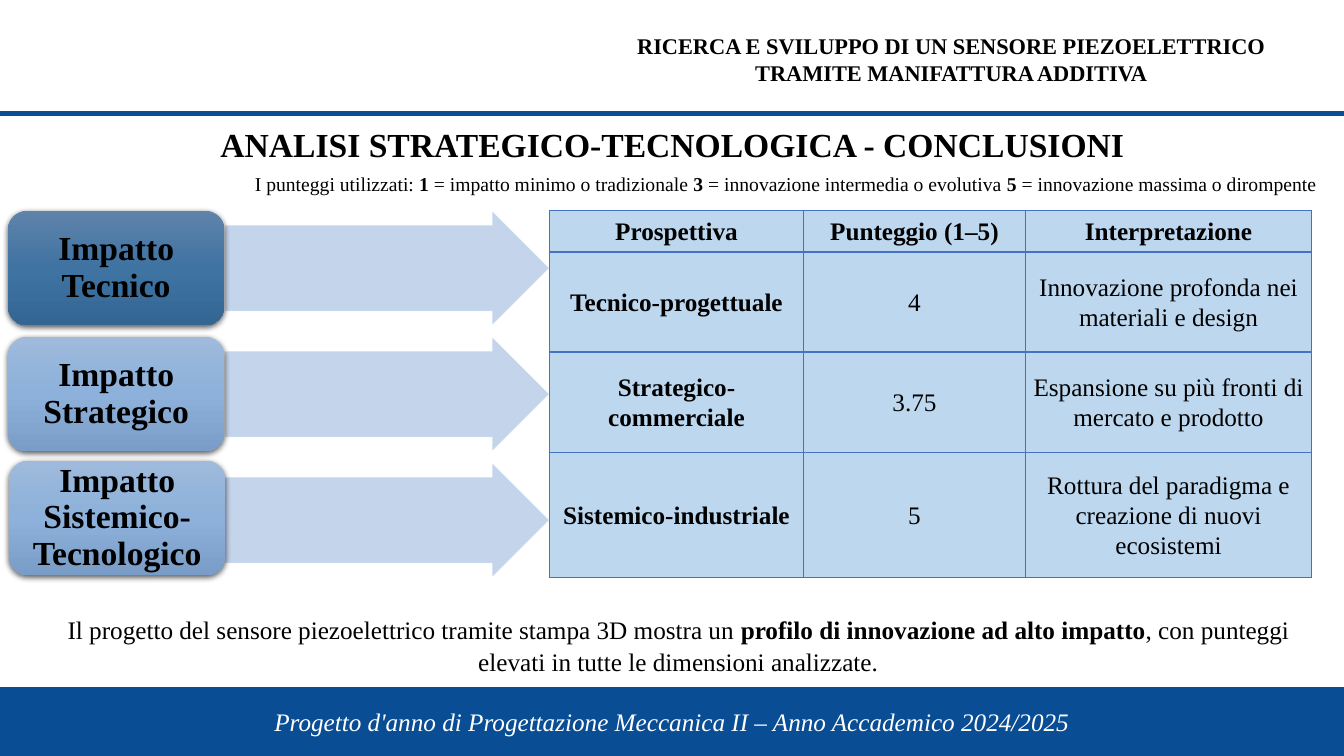
from copy import deepcopy

from lxml import etree
from pptx import Presentation
from pptx import util as u
from pptx.dml.color import RGBColor
from pptx.enum import shapes, text
from pptx.oxml import ns, parse_xml

FONT = "Times New Roman"
BLUE, BLACK, WHITE = "094D94", "000000", "FFFFFF"
ARROW, CELL, BORDER = "BDD0E9", "BDD7EE", "4472C4"
DARK = ("5F83AA", "3F73A2", "346694")
LIGHT = ("9EBADC", "8DB1DA", "799DC6")
NAMESPACE = ns.nsdecls("a")


def color(value):
    return RGBColor.from_string(value)


def write(frame, parts, size=18, bold=False, italic=False, fill=BLACK,
          align=text.PP_ALIGN.CENTER, spacing=None, after=None):
    frame.word_wrap = True
    paragraph = frame.paragraphs[0]
    paragraph.alignment = align
    if spacing is not None:
        paragraph.line_spacing = spacing
    if after is not None:
        paragraph.space_after = u.Pt(after)
    if isinstance(parts, str):
        parts = [(parts, bold)]
    for content, strong in parts:
        run = paragraph.add_run()
        run.text = content
        run.font.name = FONT
        run.font.size = u.Pt(size)
        run.font.bold = strong
        run.font.italic = italic
        run.font.color.rgb = color(fill)


class Canvas:
    def __init__(self, slide):
        self.slide = slide

    def line(self, x1, y1, x2, y2, stroke, width):
        connector = self.slide.shapes.add_connector(
            shapes.MSO_CONNECTOR.STRAIGHT, *map(u.Pt, (x1, y1, x2, y2)))
        connector.line.color.rgb = color(stroke)
        connector.line.width = u.Pt(width)
        etree.SubElement(connector._element.spPr, ns.qn("a:effectLst"))

    def label(self, box, parts, **style):
        shape = self.slide.shapes.add_textbox(*map(u.Pt, box))
        write(shape.text_frame, parts, **style)

    def shape(self, kind, box, fill=None, stroke=None, width=1):
        shape = self.slide.shapes.add_shape(kind, *map(u.Pt, box))
        shape.shadow.inherit = False
        if fill:
            shape.fill.solid()
            shape.fill.fore_color.rgb = color(fill)
        if stroke:
            shape.line.color.rgb = color(stroke)
            shape.line.width = u.Pt(width)
        else:
            shape.line.fill.background()
        return shape

    def band(self, box, content):
        shape = self.shape(shapes.MSO_SHAPE.RECTANGLE, box, BLUE, BLUE)
        shape.text_frame.vertical_anchor = text.MSO_ANCHOR.MIDDLE
        write(shape.text_frame, content, italic=True, fill=WHITE)

    def arrow(self, box):
        shape = self.shape(shapes.MSO_SHAPE.RIGHT_ARROW, box, ARROW, WHITE, 0.5)
        shape.adjustments[0] = 0.75
        shape.adjustments[1] = 0.5
        rgb = shape._element.spPr.find(f"{ns.qn('a:solidFill')}/{ns.qn('a:srgbClr')}")
        etree.SubElement(rgb, ns.qn("a:alpha"), val="90000")

    def impact(self, box, content, shades):
        shape = self.shape(shapes.MSO_SHAPE.ROUNDED_RECTANGLE, box)
        shape.fill.gradient()
        shape.fill.gradient_angle = 270
        properties = shape._element.spPr
        stop_list = properties.find(f"{ns.qn('a:gradFill')}/{ns.qn('a:gsLst')}")
        stop_list.append(deepcopy(stop_list[-1]))
        for index, stop in enumerate(shape.fill.gradient_stops):
            stop.position = index / 2
            stop.color.rgb = color(shades[index])
        properties.find(ns.qn("a:effectLst")).append(parse_xml(
            f'<a:outerShdw {NAMESPACE} blurRad="{u.Pt(4.5)}" dist="{u.Pt(1.5)}" '
            f'dir="5400000" rotWithShape="0"><a:srgbClr val="{BLACK}">'
            '<a:alpha val="63000"/></a:srgbClr></a:outerShdw>'))
        frame = shape.text_frame
        frame.vertical_anchor = text.MSO_ANCHOR.MIDDLE
        frame.margin_left = frame.margin_right = u.Pt(4)
        frame.margin_top = frame.margin_bottom = u.Pt(0)
        write(frame, content, size=24, bold=True, spacing=0.9)

    def table(self, left, top, widths, heights, rows):
        table = self.slide.shapes.add_table(
            len(heights), len(widths),
            *map(u.Pt, (left, top, sum(widths), sum(heights)))).table
        table.horz_banding = False
        for column, width in zip(table.columns, widths):
            column.width = u.Pt(width)
        for row, height in zip(table.rows, heights):
            row.height = u.Pt(height)
        for i, row in enumerate(rows):
            for j, content in enumerate(row):
                self.cell(table.cell(i, j), content, i == 0 or j == 0)

    def cell(self, cell, content, bold):
        cell.fill.solid()
        cell.fill.fore_color.rgb = color(CELL)
        cell.vertical_anchor = text.MSO_ANCHOR.MIDDLE
        cell.margin_left = cell.margin_right = u.Pt(5)
        cell.margin_top = cell.margin_bottom = u.Pt(0)
        write(cell.text_frame, content, bold=bold, spacing=1.07)
        properties = cell._tc.get_or_add_tcPr()
        for index, side in enumerate("LRTB"):
            properties.insert(index, parse_xml(
                f'<a:ln{side} {NAMESPACE} w="{u.Pt(1)}"><a:solidFill>'
                f'<a:srgbClr val="{BORDER}"/></a:solidFill></a:ln{side}>'))


def main():
    presentation = Presentation()
    presentation.slide_width = u.Pt(960)
    presentation.slide_height = u.Pt(540)
    canvas = Canvas(presentation.slides.add_slide(presentation.slide_layouts[6]))

    canvas.line(-1.5, 81, 960, 81, BLUE, 4)
    canvas.band((0, 491, 960, 49),
                "Progetto d'anno di Progettazione Meccanica II – Anno Accademico 2024/2025")
    canvas.label((422.5, 19.5, 514, 46),
                 "RICERCA E SVILUPPO DI UN SENSORE PIEZOELETTRICO TRAMITE MANIFATTURA ADDITIVA",
                 size=16, bold=True)
    canvas.label((54, 85, 852.5, 36), "ANALISI STRATEGICO-TECNOLOGICA - CONCLUSIONI",
                 size=24, bold=True)
    canvas.label((175, 119.5, 773, 24.5), [
        ("I punteggi utilizzati: ", False),
        ("1", True), (" = impatto minimo o tradizionale ", False),
        ("3", True), (" = innovazione intermedia o evolutiva ", False),
        ("5", True), (" = innovazione massima o dirompente", False),
    ], size=14, align=text.PP_ALIGN.LEFT)

    impacts = [
        ("Impatto Tecnico", DARK, 5.75, 150.5),
        ("Impatto Strategico", LIGHT, 5.75, 240.5),
        ("Impatto Sistemico-Tecnologico", LIGHT, 6.5, 329),
    ]
    for index, (content, shades, left, top) in enumerate(impacts):
        canvas.arrow((160.5, 150.5 + 90 * index, 232, 82))
        canvas.impact((left, top, 154.5, 82), content, shades)

    canvas.table(392.5, 150.5, (181.5, 158.5, 204.5), (29.5, 71.5, 71.5, 89.5), [
        ("Prospettiva", "Punteggio (1–5)", "Interpretazione"),
        ("Tecnico-progettuale", "4", "Innovazione profonda nei materiali e design"),
        ("Strategico-commerciale", "3.75", "Espansione su più fronti di mercato e prodotto"),
        ("Sistemico-industriale", "5", "Rottura del paradigma e creazione di nuovi ecosistemi"),
    ])
    canvas.label((20, 433.5, 929, 54), [
        ("Il progetto del sensore piezoelettrico tramite stampa 3D mostra un ", False),
        ("profilo di innovazione ad alto impatto", True),
        (", con punteggi elevati in tutte le dimensioni analizzate.", False),
    ], spacing=1.07, after=12)

    presentation.save("out.pptx")


if __name__ == "__main__":
    main()
